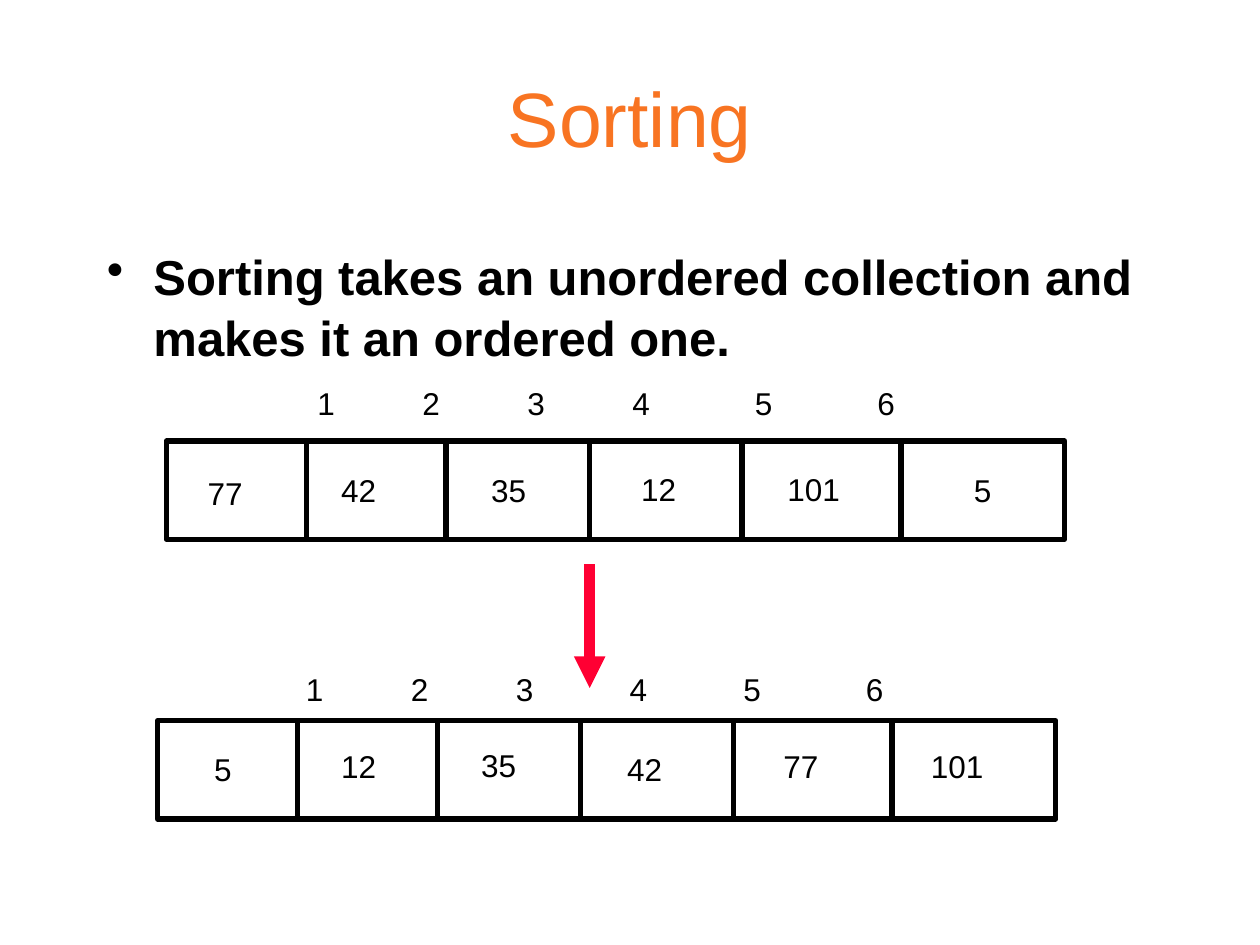
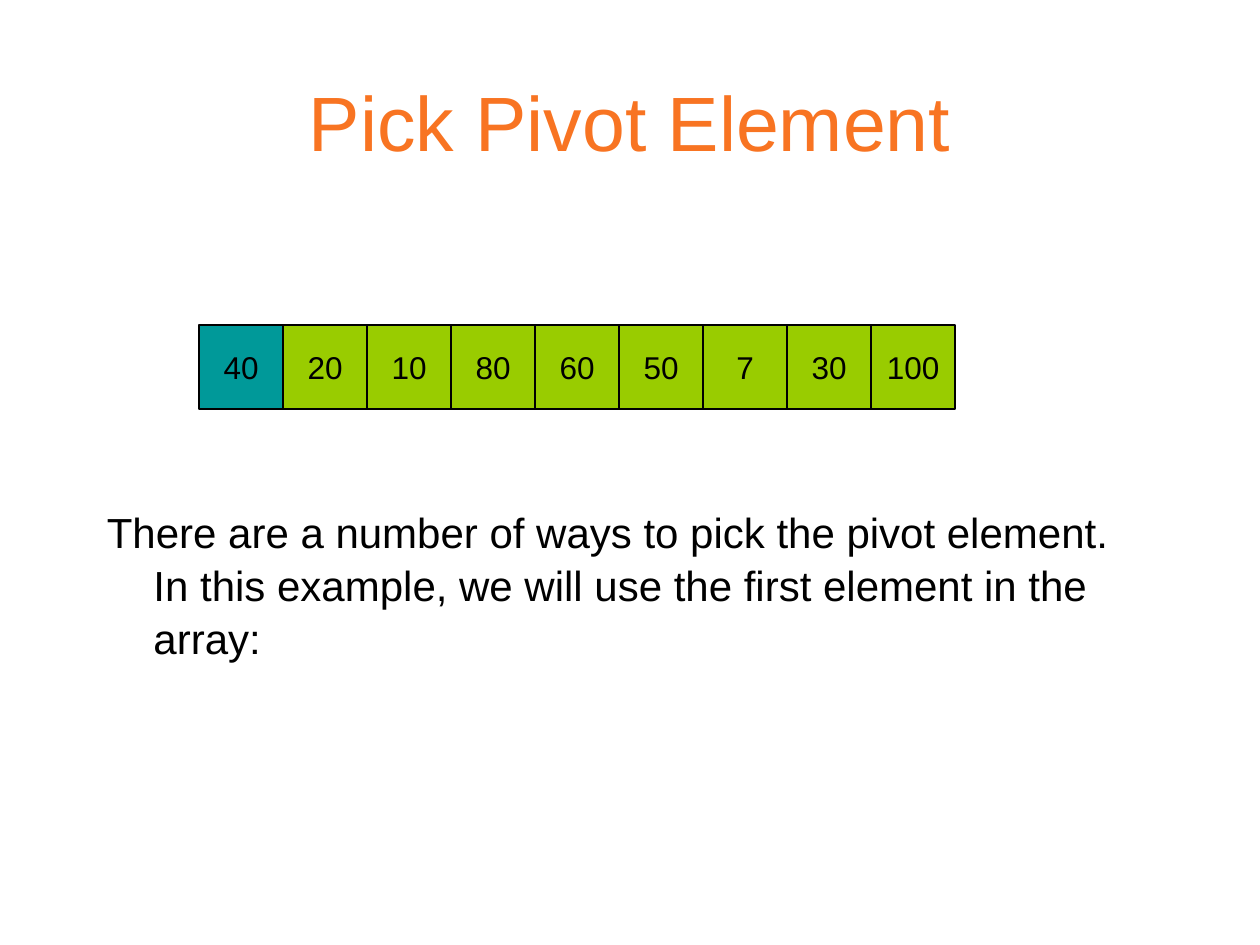
from itertools import accumulate

from lxml import etree
from pptx import Presentation
from pptx import util as u
from pptx.dml.color import RGBColor
from pptx.enum import shapes, text
from pptx.oxml.ns import qn

# The slide is a grid of 10 columns by 7.5 rows
GRID = u.Inches(1)
COLUMNS, ROWS = 10, 7.5
TITLE_ONLY = 5
FONT = "Arial"
COLORS = {"title": "F87422", "ink": "000000", "arrow": "FF0033",
          "pivot": "009999", "element": "99CC00"}
INDENT = 0.37
SPACE = 5 / 72  # width of one space at 18 pt, in columns


def grid(*lengths):
    return [round(length * GRID) for length in lengths]


def color(name):
    return RGBColor.from_string(COLORS[name])


def set_all(target, **values):
    for name, value in values.items():
        setattr(target, name, value)


def write(frame, words, size, ink="ink", bold=False, align=None, **frame_format):
    """Fill a text frame with one paragraph and return the paragraph."""
    set_all(frame, **frame_format)
    paragraph = frame.paragraphs[0]
    paragraph.alignment = align
    run = paragraph.add_run()
    run.text = words
    set_all(run.font, name=FONT, size=u.Pt(size), bold=bold)
    run.font.color.rgb = color(ink)
    return paragraph


def add_text(slide, box, words, size, **style):
    frame = slide.shapes.add_textbox(*grid(*box)).text_frame
    return write(frame, words, size, **style)


def add_titled_slide(deck, title, box):
    slide = deck.slides.add_slide(deck.slide_layouts[TITLE_ONLY])
    heading = slide.shapes.title
    set_all(heading, **dict(zip(("left", "top", "width", "height"), grid(*box))))
    write(heading.text_frame, title, 44, ink="title", align=text.PP_ALIGN.CENTER,
          vertical_anchor=text.MSO_ANCHOR.MIDDLE,
          auto_size=text.MSO_AUTO_SIZE.NONE)
    return slide


def add_body(slide, box, words, size, inset, bullet=None, bold=False):
    """Body text with a hanging indent, starting at the given inset."""
    paragraph = add_text(slide, box, words, size, bold=bold, word_wrap=True,
                         margin_top=grid(inset)[0])
    paragraph.line_spacing = 1.05
    properties = paragraph._p.get_or_add_pPr()
    hang = grid(INDENT)[0]
    properties.set("marL", str(hang))
    properties.set("indent", str(-hang))
    if bullet:
        etree.SubElement(properties, qn("a:buChar")).set("char", bullet)


def add_line(slide, start, end, ink, weight, arrow=False):
    line = slide.shapes.add_connector(shapes.MSO_CONNECTOR.STRAIGHT,
                                      *grid(*start, *end))
    line.line.color.rgb = color(ink)
    line.line.width = u.Pt(weight)
    if arrow:
        head = etree.SubElement(line.line._get_or_add_ln(), qn("a:tailEnd"))
        head.set("type", "triangle")
    etree.SubElement(line._element.spPr, qn("a:effectLst"))


def add_rectangle(slide, box, weight, fill=None):
    rectangle = slide.shapes.add_shape(shapes.MSO_SHAPE.RECTANGLE, *grid(*box))
    rectangle.shadow.inherit = False
    rectangle.line.color.rgb = color("ink")
    rectangle.line.width = u.Pt(weight)
    if fill:
        rectangle.fill.solid()
        rectangle.fill.fore_color.rgb = color(fill)
    else:
        rectangle.fill.background()
    return rectangle


def add_indices(slide, box, gaps):
    """Numbers from 1 up; each gap is the count of spaces between two."""
    numbers = "\t".join(str(n + 1) for n in range(len(gaps) + 1))
    paragraph = add_text(slide, box, numbers, 18, word_wrap=True)
    stops = etree.SubElement(paragraph._p.get_or_add_pPr(), qn("a:tabLst"))
    # A digit is as wide as two spaces
    for position in accumulate((gap + 2) * SPACE for gap in gaps):
        stop = etree.SubElement(stops, qn("a:tab"))
        stop.set("pos", str(grid(position)[0]))
        stop.set("algn", "l")


def add_array(slide, box, values, indices):
    """Outlined array with dividers, values and a row of indices above."""
    left, top, width, height = box
    add_rectangle(slide, box, 3)
    for divider in (1.11, 2.22, 3.36, 4.57, 5.83):
        x = left + divider
        add_line(slide, (x, top), (x, top + height), "ink", 3)
    for value, x, y in values:
        add_text(slide, (left + x, top + y, 0.2 + 2 * SPACE * len(value), 0.4),
                 value, 18, word_wrap=False)
    x, y, gaps = indices
    add_indices(slide, (left + x, top + y, 4.79, 0.4), gaps)


def add_cells(slide, left, top, side, values):
    """Row of square cells, the first of which is the pivot."""
    for place, value in enumerate(values):
        cell = add_rectangle(slide, (left + place * side, top, side, side), 0.75,
                             "element" if place else "pivot")
        write(cell.text_frame, value, 18, align=text.PP_ALIGN.CENTER,
              vertical_anchor=text.MSO_ANCHOR.MIDDLE, word_wrap=False)


def build_sorting(deck):
    slide = add_titled_slide(deck, "Sorting", (0.5, 0.3, 9, 1.25))
    add_body(slide, (0.75, 1.83, 8.5, 4.83),
             "Sorting takes an unordered collection and makes it an ordered one.",
             28, inset=0.1, bullet="•", bold=True)
    # Unordered array: value, then its offset in the array
    add_array(slide, (1.32, 3.5, 7.13, 0.78),
              [("77", 0.23, 0.21), ("42", 1.29, 0.19), ("35", 2.48, 0.19),
               ("12", 3.67, 0.18), ("101", 4.83, 0.18), ("5", 6.31, 0.19)],
              (1.1, -0.5, (10, 10, 10, 12, 12)))
    # Ordered array
    add_array(slide, (1.25, 5.72, 7.13, 0.78),
              [("5", 0.35, 0.18), ("12", 1.36, 0.16), ("35", 2.47, 0.15),
               ("42", 3.63, 0.18), ("77", 4.87, 0.16), ("101", 6.04, 0.16)],
              (1.08, -0.45, (10, 10, 11, 11, 12)))
    add_line(slide, (4.68, 4.48), (4.68, 5.46), "arrow", 6, arrow=True)


def build_pivot(deck):
    slide = add_titled_slide(deck, "Pick Pivot Element", (0.75, 0.33, 8.5, 1.25))
    add_body(slide, (0.75, 1.5, 8.5, 4.5),
             "There are a number of ways to pick the pivot element. "
             "In this example, we will use the first element in the array:",
             24, inset=2.5)
    add_cells(slide, 1.58, 2.58, 2 / 3,
              ("40", "20", "10", "80", "60", "50", "7", "30", "100"))


def main():
    deck = Presentation()
    deck.slide_width, deck.slide_height = grid(COLUMNS, ROWS)
    build_sorting(deck)
    build_pivot(deck)
    deck.save("out.pptx")


if __name__ == "__main__":
    main()
